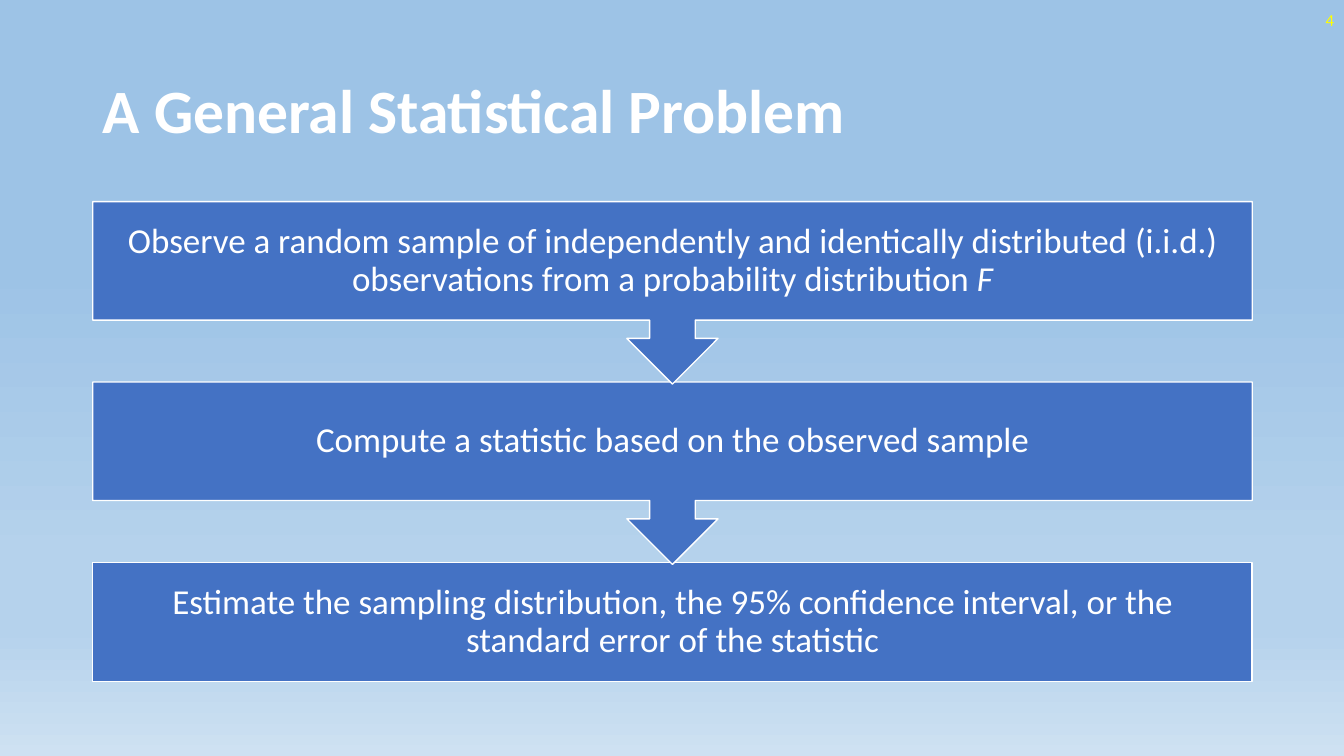
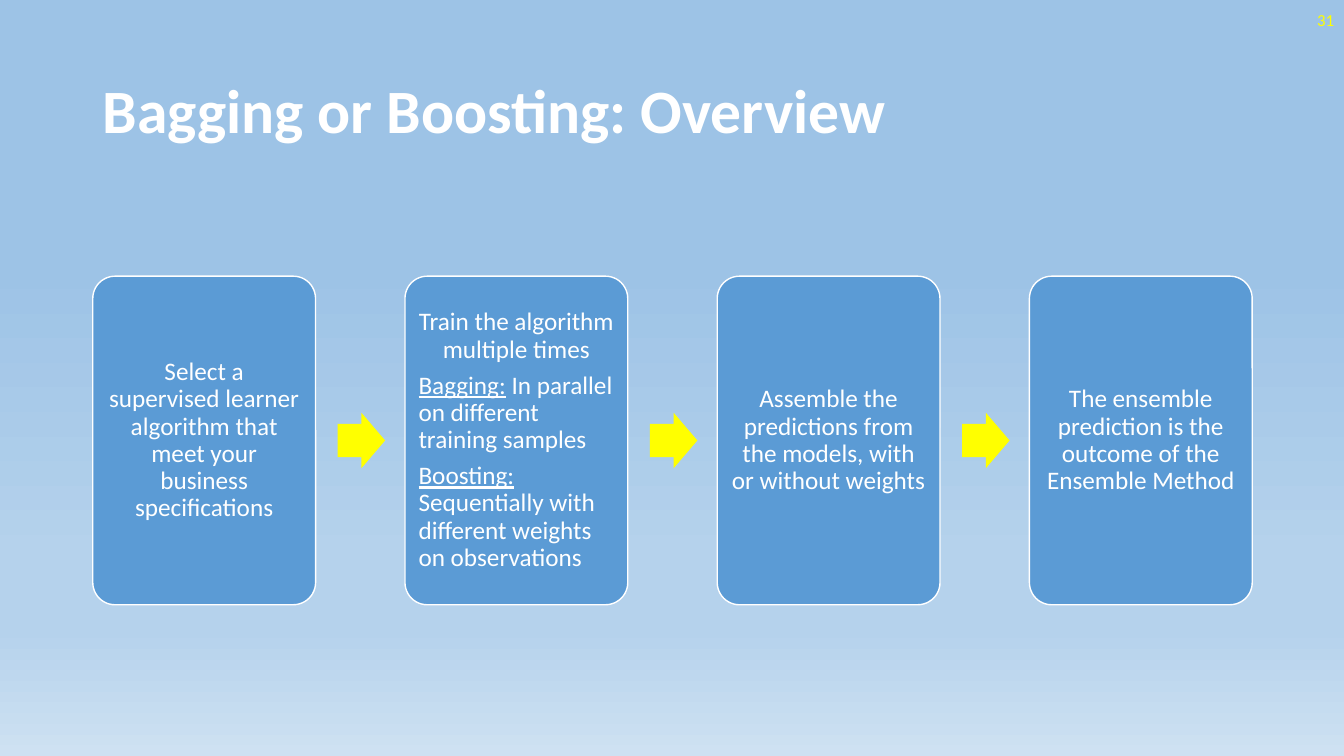
from copy import deepcopy
from dataclasses import dataclass

from pptx import Presentation
from pptx.dml.color import RGBColor
from pptx.enum.shapes import MSO_SHAPE
from pptx.enum.text import MSO_ANCHOR, PP_ALIGN
from pptx.oxml.ns import qn
from pptx.util import Inches, Pt

BOX, CARD = MSO_SHAPE.RECTANGLE, MSO_SHAPE.ROUNDED_RECTANGLE
CALL, ARROW = MSO_SHAPE.DOWN_ARROW_CALLOUT, MSO_SHAPE.RIGHT_ARROW
LEFT, MID, RIGHT = PP_ALIGN.LEFT, PP_ALIGN.CENTER, PP_ALIGN.RIGHT


@dataclass(frozen=True)
class Theme:
    font: str = "Calibri"
    white: str = "FFFFFF"
    yellow: str = "FFFF00"
    step: str = "4472C4"
    card: str = "5B9BD5"
    sky: tuple = ((0.35, "9DC3E6"), (0.74, "B5D2EC"),
                  (0.83, "B5D2EC"), (1.0, "CEE1F2"))
    title_size: int = 44
    step_size: int = 25
    card_size: int = 18
    num_size: int = 12
    leading: float = 0.9
    gap: float = 0.35  # paragraph gap as a share of the type size


THEME = Theme()
EDGE, WIDE = 0.92, 11.5

# A text is a list of (alignment, runs); a run is (words, style).
STEPS = [
    [(MID, [("Observe a random sample of independently and identically "
             "distributed (i.i.d.) observations from a probability "
             "distribution ", ""), ("F", "i")])],
    [(MID, [("Compute a statistic based on the observed sample", "")])],
    [(MID, [("Estimate the sampling distribution, the 95% confidence "
             "interval, or the standard error of the statistic", "")])],
]
CARDS = [
    [(MID, [("Select a supervised learner algorithm that meet your "
             "business specifications", "")])],
    [(MID, [("Train the algorithm multiple times", "")]),
     (LEFT, [("Bagging:", "u"),
             (" In parallel on different training samples", "")]),
     (LEFT, [("Boosting:", "u"),
             (" Sequentially with different weights on observations", "")])],
    [(MID, [("Assemble the predictions from the models, with or without "
             "weights", "")])],
    [(MID, [("The ensemble prediction is the outcome of the Ensemble "
             "Method", "")])],
]


def rgb(code):
    return RGBColor.from_string(code)


def style(para, size, color, align):
    para.alignment = align
    para.font.name = THEME.font
    para.font.size = Pt(size)
    para.font.color.rgb = rgb(color)


def write(frame, text, size, inset):
    frame.word_wrap = True
    frame.vertical_anchor = MSO_ANCHOR.MIDDLE
    frame.margin_left = frame.margin_right = Inches(inset)
    frame.margin_top = frame.margin_bottom = Inches(inset)
    for i, (align, runs) in enumerate(text):
        para = frame.add_paragraph() if i else frame.paragraphs[0]
        style(para, size, THEME.white, align)
        para.line_spacing = THEME.leading
        para.space_before = Pt(size * THEME.gap if i else 0)
        for words, mark in runs:
            run = para.add_run()
            run.text = words
            if mark == "i":
                run.font.italic = True
            elif mark == "u":
                run.font.underline = True


def draw(slide, kind, place, fill, line=None):
    shape = slide.shapes.add_shape(kind, *map(Inches, place))
    shape.shadow.inherit = False
    shape.fill.solid()
    shape.fill.fore_color.rgb = rgb(fill)
    if line:
        shape.line.color.rgb = rgb(line)
        shape.line.width = Pt(1)
    else:
        shape.line.fill.background()
    return shape


def paint_sky(master):
    fill = master.background.fill
    fill.gradient()
    fill.gradient_angle = 270
    stops = master.element.find(".//" + qn("a:gsLst"))
    while len(stops) < len(THEME.sky):
        stops.append(deepcopy(stops[0]))
    for stop, (pos, color) in zip(fill.gradient_stops, THEME.sky):
        stop.position = pos
        stop.color.rgb = rgb(color)


def start(prs, name, num):
    """Add a slide with its title and number."""
    slide = prs.slides.add_slide(prs.slide_layouts[5])
    title = slide.shapes.title
    title.left, title.top = Inches(EDGE), Inches(0.4)
    title.width, title.height = Inches(WIDE), Inches(1.45)
    title.text_frame.text = name
    title.text_frame.vertical_anchor = MSO_ANCHOR.MIDDLE
    para = title.text_frame.paragraphs[0]
    style(para, THEME.title_size, THEME.white, LEFT)
    para.font.bold = True
    para.line_spacing = THEME.leading

    place = (10.33, 0, 3, 0.4)
    frame = slide.shapes.add_textbox(*map(Inches, place)).text_frame
    frame.word_wrap = True
    frame.vertical_anchor = MSO_ANCHOR.MIDDLE
    frame.text = str(num)
    style(frame.paragraphs[0], THEME.num_size, THEME.yellow, RIGHT)
    return slide


def add_steps(slide):
    top, pitch = 2, 1.79
    last = len(STEPS) - 1
    # Bottom step first, so that each arrow tip lies over the next box.
    for i in range(last, -1, -1):
        kind, high = (BOX, 1.18) if i == last else (CALL, 1.81)
        place = (EDGE, top + i * pitch, WIDE, high)
        shape = draw(slide, kind, place, THEME.step, THEME.white)
        write(shape.text_frame, STEPS[i], THEME.step_size, 0.19)


def add_cards(slide):
    top, wide, high = 2.74, 2.21, 3.26
    tip_wide, tip_high = 0.47, 0.55
    pitch = (WIDE - wide) / (len(CARDS) - 1)
    for i, text in enumerate(CARDS):
        left = EDGE + i * pitch
        if i:
            place = (left - pitch + wide + 0.22, top + (high - tip_high) / 2,
                     tip_wide, tip_high)
            tip = draw(slide, ARROW, place, THEME.yellow)
            tip.adjustments[0] = 0.6
        card = draw(slide, CARD, (left, top, wide, high),
                    THEME.card, THEME.white)
        card.adjustments[0] = 0.1
        write(card.text_frame, text, THEME.card_size, 0.07)


def main():
    prs = Presentation()
    prs.slide_width, prs.slide_height = Inches(13.33), Inches(7.5)
    paint_sky(prs.slide_master)
    add_steps(start(prs, "A General Statistical Problem", 4))
    add_cards(start(prs, "Bagging or Boosting: Overview", 31))
    prs.save("out.pptx")


if __name__ == "__main__":
    main()
